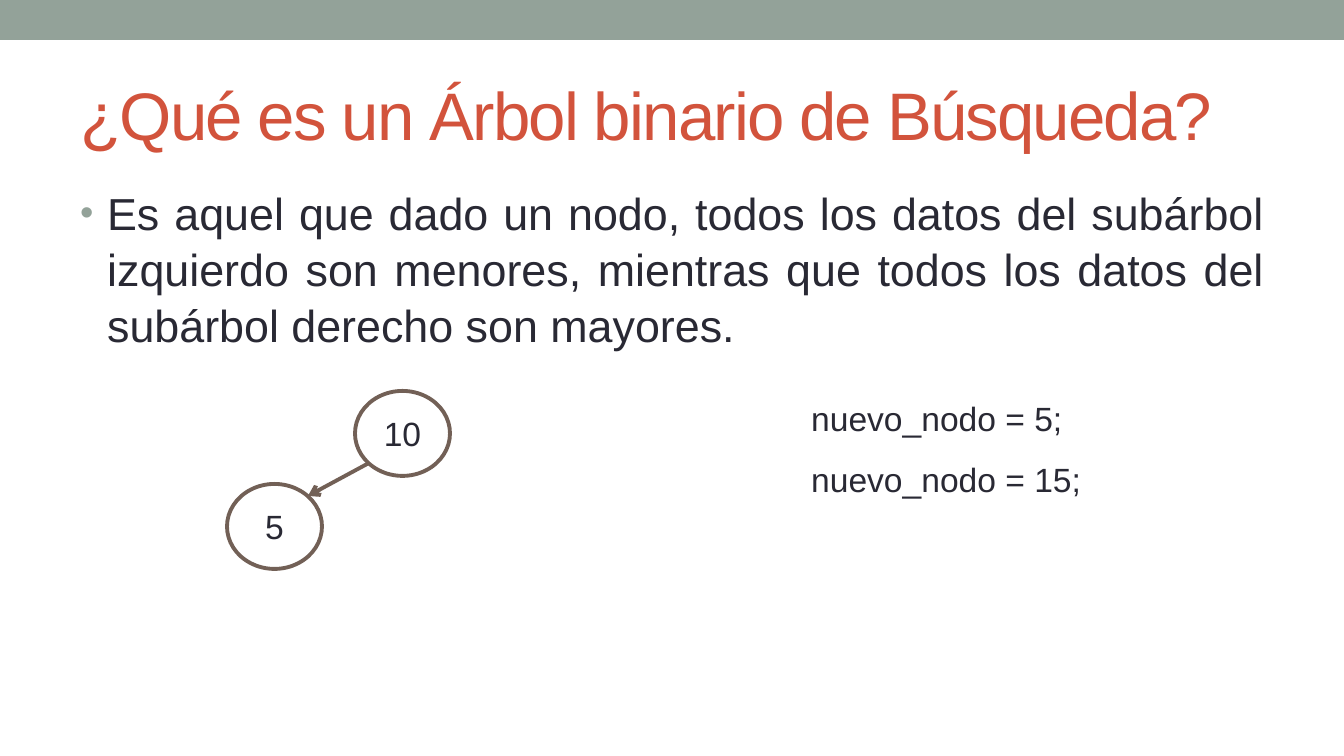
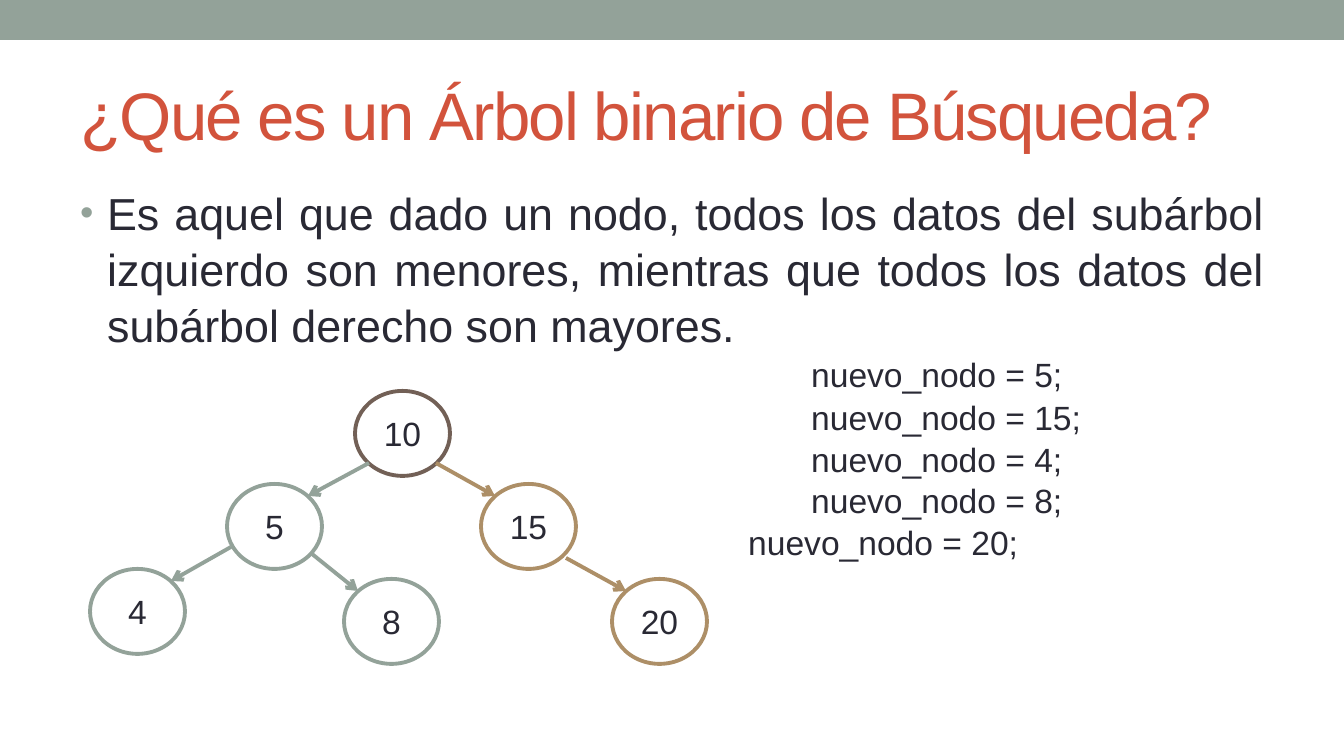
from lxml import etree
from pptx import Presentation
from pptx.dml.color import RGBColor
from pptx.enum.shapes import MSO_CONNECTOR, MSO_SHAPE
from pptx.enum.text import MSO_ANCHOR, MSO_AUTO_SIZE, PP_ALIGN
from pptx.oxml.ns import qn
from pptx.util import Pt

LEFT, CENTER, JUSTIFY = PP_ALIGN.LEFT, PP_ALIGN.CENTER, PP_ALIGN.JUSTIFY
TOP, MIDDLE = MSO_ANCHOR.TOP, MSO_ANCHOR.MIDDLE
NO_FIT, FIT_SHAPE = MSO_AUTO_SIZE.NONE, MSO_AUTO_SIZE.SHAPE_TO_FIT_TEXT
OVAL, RECTANGLE = MSO_SHAPE.OVAL, MSO_SHAPE.RECTANGLE
STRAIGHT = MSO_CONNECTOR.STRAIGHT

WIDTH, HEIGHT, BAND_HEIGHT = 1344, 756, 40
SCALE = 914400 / 134.4
FONT = "Arial"
INK, WHITE, RED = "292934", "FFFFFF", "D2533C"
SAGE, BROWN, TAN = "93A299", "726056", "AD8F67"

TITLE = "¿Qué es un Árbol binario de Búsqueda?"
DEFINITION = ("Es aquel que dado un nodo, todos los datos del subárbol izquierdo son menores, "
              "mientras que todos los datos del subárbol derecho son mayores.")
TITLE_AREA = (67, 59, 1210, 109)
DEFINITION_AREA = (67, 176, 1210, 191)
NODE_WIDTH, NODE_HEIGHT = 95, 85
SITE_X, SITE_Y = 14, 12
CODE_WIDTH, CODE_HEIGHT = 360, 54

ROOT = ("10", 355, 391, BROWN, None)
SLIDES = [
    {
        "nodes": [ROOT, ("5", 227, 484, BROWN, (369, 463))],
        "code": [(5, 798, 391), (15, 798, 452)],
    },
    {
        "nodes": [
            ROOT,
            ("5", 227, 484, SAGE, (369, 463)),
            ("15", 481, 484, TAN, (436, 463)),
            ("4", 90, 569, SAGE, (231, 547)),
            ("8", 344, 579, SAGE, (312, 554)),
            ("20", 612, 579, TAN, (566, 558)),
        ],
        "code": [(5, 798, 347), (15, 798, 390), (4, 798, 432), (8, 798, 473), (20, 735, 515)],
    },
]


def emu(*pixels):
    return [round(value * SCALE) for value in pixels]


def colour(code):
    return RGBColor.from_string(code)


def write(shape, text, size=18, ink=INK, align=LEFT, anchor=TOP, fit=NO_FIT):
    frame = shape.text_frame
    frame.word_wrap = True
    frame.auto_size = fit
    frame.vertical_anchor = anchor
    para = frame.paragraphs[0]
    para.alignment = align
    span = para.add_run()
    span.text = text
    span.font.name = FONT
    span.font.size = Pt(size)
    span.font.color.rgb = colour(ink)
    return para, span


def add_text(page, area, text, **style):
    box = page.shapes.add_textbox(*emu(*area))
    return write(box, text, **style)


def add_filled(page, kind, area, fill, line=None):
    shape = page.shapes.add_shape(kind, *emu(*area))
    shape.shadow.inherit = False
    shape.fill.solid()
    shape.fill.fore_color.rgb = colour(fill)
    if line:
        shape.line.color.rgb = colour(line)
        shape.line.width = Pt(2.08)
    else:
        shape.line.fill.background()
    return shape


def add_bullet(para):
    settings = para._p.get_or_add_pPr()
    indent = emu(27)[0]
    settings.set("marL", str(indent))
    settings.set("indent", str(-indent))
    bullet_colour = etree.SubElement(settings, qn("a:buClr"))
    etree.SubElement(bullet_colour, qn("a:srgbClr"), val=SAGE)
    etree.SubElement(settings, qn("a:buSzPct"), val="85000")
    etree.SubElement(settings, qn("a:buFont"), typeface=FONT)
    etree.SubElement(settings, qn("a:buChar"), char="•")


def add_arrow(page, start, end, ink):
    arrow = page.shapes.add_connector(STRAIGHT, *emu(*start, *end))
    arrow.line.color.rgb = colour(ink)
    arrow.line.width = Pt(2.08)
    etree.SubElement(arrow.line._get_or_add_ln(), qn("a:tailEnd"), type="arrow")
    etree.SubElement(arrow._element.spPr, qn("a:effectLst"))


def add_node(page, label, left, top, ink, start):
    node = add_filled(page, OVAL, (left, top, NODE_WIDTH, NODE_HEIGHT), WHITE, ink)
    write(node, label, align=CENTER, anchor=MIDDLE)
    if start:
        from_left = start[0] < left
        end_x = left + (SITE_X if from_left else NODE_WIDTH - SITE_X)
        add_arrow(page, start, (end_x, top + SITE_Y), ink)


def add_page(deck):
    page = deck.slides.add_slide(deck.slide_layouts[5])
    add_filled(page, RECTANGLE, (0, 0, WIDTH, BAND_HEIGHT), SAGE)
    title = page.shapes.title
    title.left, title.top, title.width, title.height = emu(*TITLE_AREA)
    span = write(title, TITLE, size=36, ink=RED, anchor=MIDDLE)[1]
    span.font._element.set("spc", "-100")
    para = add_text(page, DEFINITION_AREA, DEFINITION, size=24, align=JUSTIFY)[0]
    para.line_spacing = 1.05
    para.space_before = Pt(4.8)
    add_bullet(para)
    return page


deck = Presentation()
deck.slide_width, deck.slide_height = emu(WIDTH, HEIGHT)
for content in SLIDES:
    page = add_page(deck)
    for node in content["nodes"]:
        add_node(page, *node)
    for value, left, top in content["code"]:
        add_text(page, (left, top, CODE_WIDTH, CODE_HEIGHT), f"nuevo_nodo = {value};", fit=FIT_SHAPE)
deck.save("out.pptx")
